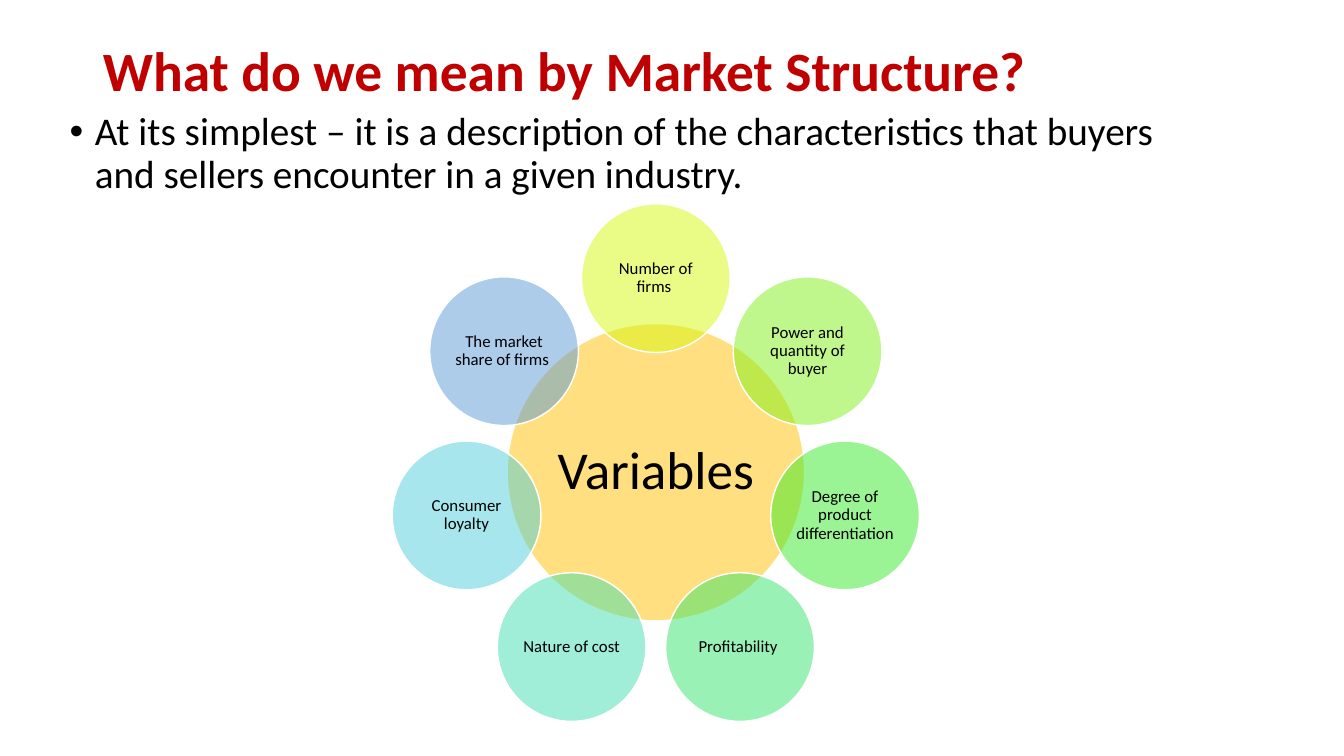
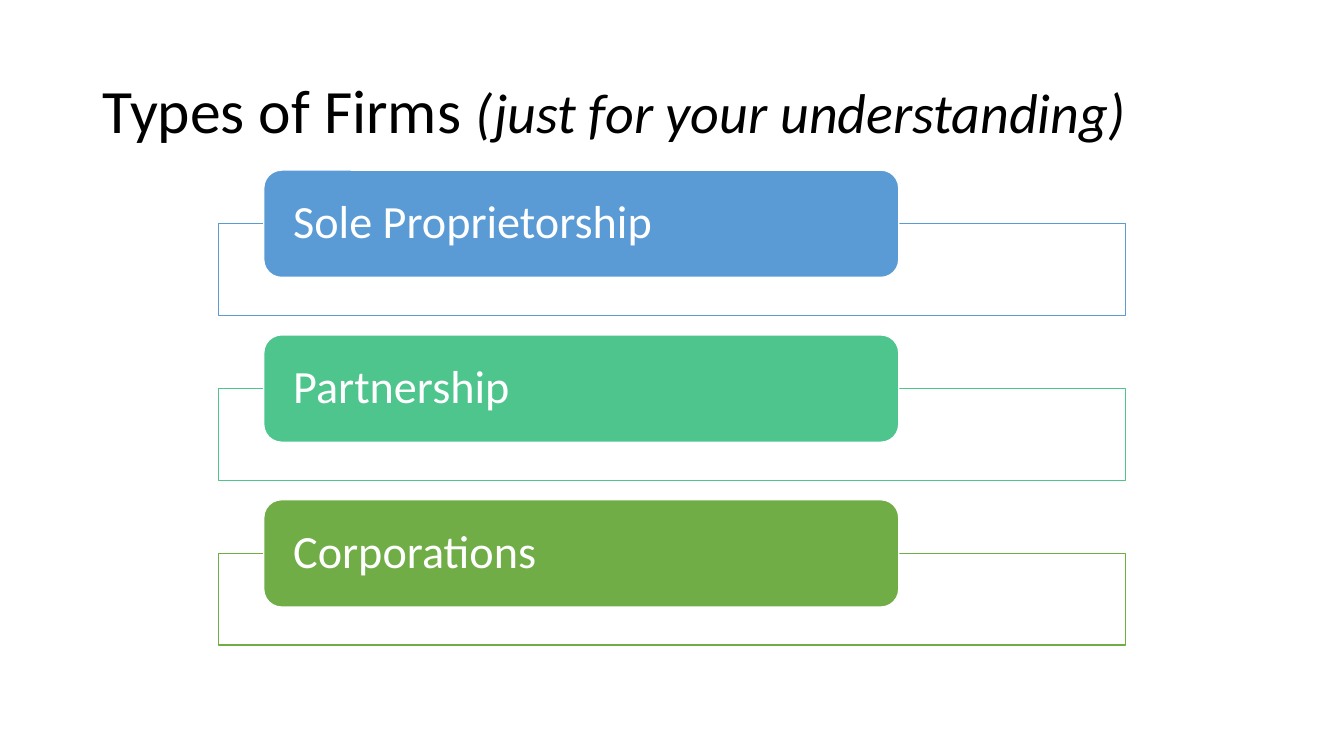
"""Build two slides on market structure and the types of firms."""
from math import cos, pi, sin

from lxml.etree import SubElement
from pptx import Presentation
from pptx.dml.color import RGBColor
from pptx.enum.shapes import MSO_SHAPE as Form
from pptx.enum.text import MSO_ANCHOR as Anchor, MSO_AUTO_SIZE as Fit, PP_ALIGN as Align
from pptx.oxml.ns import qn
from pptx.util import Inches, Pt

FONT = "Calibri"
BLACK, WHITE, RED = "000000", "FFFFFF", "C00000"
BLUE, TEAL, GREEN, AMBER = "5B9BD5", "4DC58D", "70AD47", "FFC000"
rgb = RGBColor.from_string

deck = Presentation()
deck.slide_width, deck.slide_height = Inches(13.33), Inches(7.5)
col, row = deck.slide_width / 100, deck.slide_height / 100


def add_run(frame, text, size, colour, bold=False, italic=False):
    """Append a formatted run to the first paragraph of a text frame."""
    paragraph = frame.paragraphs[0]
    paragraph.line_spacing = 0.9
    run = paragraph.add_run()
    run.text = text
    run.font.name, run.font.size = FONT, Pt(size)
    run.font.bold, run.font.italic = bold, italic
    run.font.color.rgb = rgb(colour)


def add_figure(slide, form, box, fill, line, opacity=100, inset=(0, 0)):
    """Add a filled, outlined shape and return its text frame."""
    figure = slide.shapes.add_shape(form, *map(round, box))
    figure.shadow.inherit = False
    figure.fill.solid()
    figure.fill.fore_color.rgb = rgb(fill)
    if opacity < 100:
        tint = figure.fill._xPr.find(qn("a:solidFill"))[0]
        SubElement(tint, qn("a:alpha"), val=str(opacity * 1000))
    figure.line.color.rgb, figure.line.width = rgb(line), Pt(1)
    frame = figure.text_frame
    frame.word_wrap, frame.vertical_anchor = True, Anchor.MIDDLE
    frame.margin_left = frame.margin_right = Inches(inset[0])
    frame.margin_top = frame.margin_bottom = Inches(inset[1])
    return frame


headings = [
    (1, 8.8, [("What do we mean by Market Structure?", 39.6, RED, True)]),
    (5, 19.33, [("Types of Firms ", 44, BLACK),
                ("(just for your understanding)", 40, BLACK, False, True)]),
]
slides = []
for layout, height, runs in headings:
    slide = deck.slides.add_slide(deck.slide_layouts[layout])
    title = slide.shapes.title
    title.left, title.top = round(6.9 * col), round(5.33 * row)
    title.width, title.height = round(86.25 * col), round(height * row)
    title.text_frame.auto_size = Fit.NONE
    title.text_frame.vertical_anchor = Anchor.MIDDLE
    title.text_frame.paragraphs[0].alignment = Align.LEFT
    for run in runs:
        add_run(title.text_frame, *run)
    slides.append(slide)
market, firms = slides

definition = market.placeholders[1]
definition.left, definition.top = round(4.43 * col), round(14.13 * row)
definition.width, definition.height = round(86.25 * col), round(14.53 * row)
definition.text_frame.auto_size = Fit.NONE
add_run(definition.text_frame,
        "At its simplest – it is a description of the characteristics that buyers "
        "and sellers encounter in a given industry.", 28, BLACK)
point = definition.text_frame.paragraphs[0]
point.space_before = Pt(10)
indents = point._p.get_or_add_pPr()
indents.set("marL", str(Inches(0.25)))
indents.set("indent", str(-Inches(0.25)))

variables = [
    ("Number of firms ", "D7F80E"),
    ("Power and quantity of buyer", "80F11C"),
    ("Degree of product differentiation", "39EB29"),
    ("Profitability ", "36E56C"),
    ("Nature of cost", "43DFB0"),
    ("Consumer loyalty", "4FCEDA"),
    ("The market share of firms ", BLUE),
]
hub_x, hub_y = 48.8 * col, 62.47 * row
hub_size, orbit = 39.33 * row, 25.67 * row
circles = [("Variables ", AMBER, 38, hub_x, hub_y, hub_size, 0.05)]
for index, (label, fill) in enumerate(variables):
    angle = 2 * pi * index / len(variables)
    circles.append((label, fill, 12, hub_x + orbit * sin(angle),
                    hub_y - orbit * cos(angle), hub_size / 2, 0.02))
for label, fill, size, x, y, diameter, inset in circles:
    box = (x - diameter / 2, y - diameter / 2, diameter, diameter)
    frame = add_figure(market, Form.OVAL, box, fill, WHITE, 50, (inset, inset))
    frame.paragraphs[0].alignment = Align.CENTER
    add_run(frame, label, size, BLACK)

frame_left, frame_width, frame_height = 16.25 * col, 67.5 * col, 12.13 * row
card_left, card_width, card_height = frame_left + frame_width / 20, frame_width * 0.7, 14.2 * row
firm_types = [("Sole Proprietorship", BLUE), ("Partnership", TEAL), ("Corporations", GREEN)]
for index, (firm, colour) in enumerate(firm_types):
    top = (22.5 + 21.8 * index) * row
    add_figure(firms, Form.RECTANGLE,
               (frame_left, top + card_height / 2, frame_width, frame_height), WHITE, colour, 90)
    card = add_figure(firms, Form.ROUNDED_RECTANGLE,
                      (card_left, top, card_width, card_height), colour, WHITE, inset=(0.24, 0))
    card.paragraphs[0].alignment = Align.LEFT
    add_run(card, firm, 33, WHITE)

deck.save("out.pptx")
